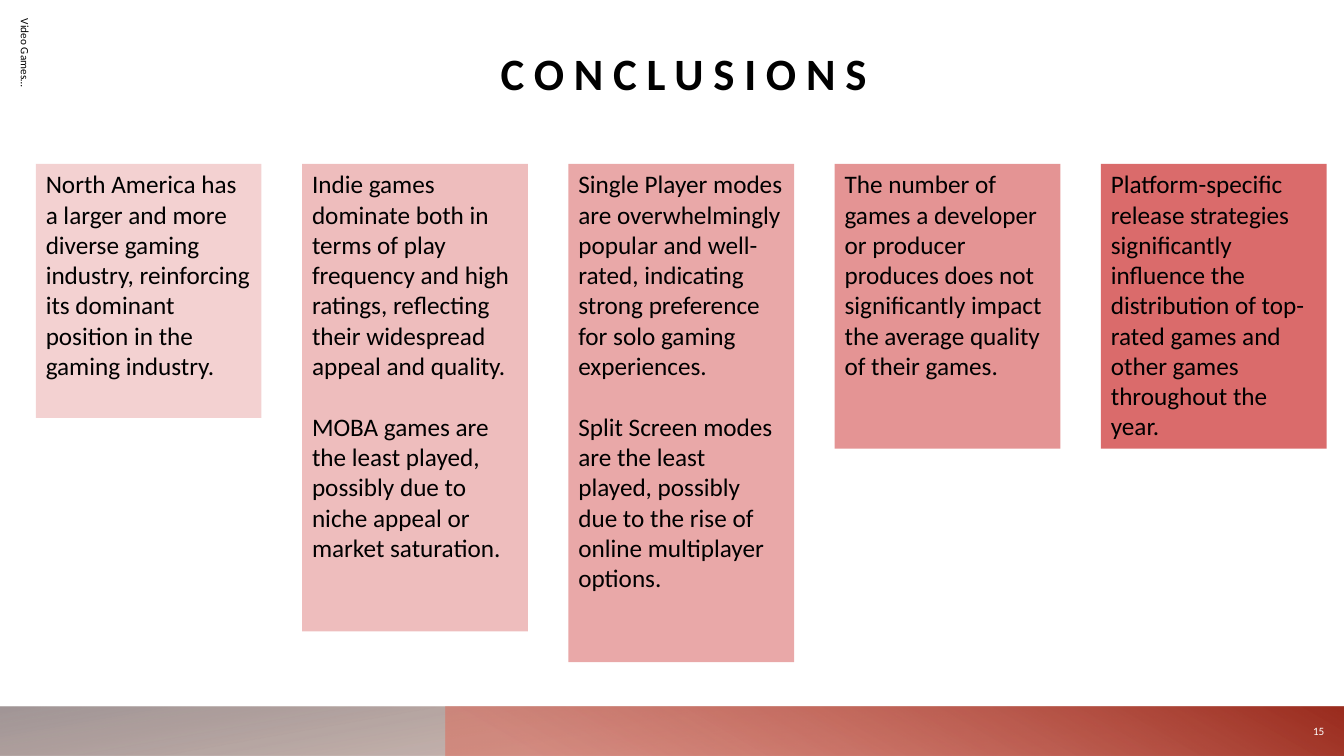
import pptx
import pptx.dml.color
import pptx.enum.shapes
import pptx.enum.text
import pptx.oxml
import pptx.oxml.ns
import pptx.util

Pt = pptx.util.Pt
RGBColor = pptx.dml.color.RGBColor
ALIGN = pptx.enum.text.PP_ALIGN
ANCHOR = pptx.enum.text.MSO_ANCHOR

BLACK = RGBColor(0x00, 0x00, 0x00)
WHITE = RGBColor(0xFF, 0xFF, 0xFF)
CARD_RED = RGBColor(0xC0, 0x00, 0x00)
BROWN = RGBColor(0x95, 0x62, 0x51)
GREY = RGBColor(0x91, 0x84, 0x85)
CORAL = RGBColor(0xDF, 0x6C, 0x5D)
BRICK = RGBColor(0x9B, 0x2D, 0x1F)

SLIDE_WIDTH, SLIDE_HEIGHT = 960, 540
BAR_TOP, BAR_HEIGHT = 504.5, 35.5
CARD_LEFT, CARD_TOP, CARD_WIDTH, CARD_PITCH = 25.6, 117, 161.2, 190.2

# Opacity in percent, height, paragraphs
CARDS = [
    (18, 181.5, ["North America has a larger and more diverse gaming industry, "
                 "reinforcing its dominant position in the gaming industry."]),
    (26, 334, ["Indie games dominate both in terms of play frequency and high ratings, "
               "reflecting their widespread appeal and quality.",
               "MOBA games are the least played, possibly due to niche appeal or "
               "market saturation."]),
    (34, 356, ["Single Player modes are overwhelmingly popular and well-rated, "
               "indicating strong preference for solo gaming experiences.",
               "Split Screen modes are the least played, possibly due to the rise of "
               "online multiplayer options."]),
    (42, 203.5, ["The number of games a developer or producer produces does not "
                 "significantly impact the average quality of their games."]),
    (58, 203.5, ["Platform-specific release strategies significantly influence the "
                 "distribution of top-rated games and other games throughout the year."]),
]


def set_opacity(shape, percents):
    """Give each fill colour of the shape its opacity, in order."""
    colors = shape.element.spPr.iter(pptx.oxml.ns.qn("a:srgbClr"))
    for color, percent in zip(colors, percents):
        alpha = pptx.oxml.parse_xml(f"<a:alpha {pptx.oxml.ns.nsdecls('a')}/>")
        alpha.set("val", str(percent * 1000))
        color.append(alpha)


class SlideBuilder:
    font_name = "Calibri"

    def __init__(self, slide):
        self.slide = slide

    def rectangle(self, left, top, width, height):
        shape = self.slide.shapes.add_shape(
            pptx.enum.shapes.MSO_SHAPE.RECTANGLE, Pt(left), Pt(top), Pt(width), Pt(height))
        shape.shadow.inherit = False
        shape.line.fill.background()
        return shape

    def gradient_bar(self, left, width, angle, stops):
        """Draw a footer bar; each stop is (position, colour, opacity in percent)."""
        shape = self.rectangle(left, BAR_TOP, width, BAR_HEIGHT)
        shape.fill.gradient()
        shape.fill.gradient_angle = angle
        for stop, (position, color, _) in zip(shape.fill.gradient_stops, stops):
            stop.position = position
            stop.color.rgb = color
        set_opacity(shape, [opacity for _, _, opacity in stops])

    def fill_text(self, shape, paragraphs, size, color=BLACK, align=ALIGN.LEFT,
                  anchor=ANCHOR.TOP, gap=0):
        frame = shape.text_frame
        frame.word_wrap = True
        frame.vertical_anchor = anchor
        for index, text in enumerate(paragraphs):
            paragraph = frame.add_paragraph() if index else frame.paragraphs[0]
            paragraph.alignment = align
            if index:
                paragraph.space_before = Pt(gap)
            run = paragraph.add_run()
            run.text = text
            run.font.name = self.font_name
            run.font.size = Pt(size)
            run.font.color.rgb = color
        return frame

    def card(self, left, height, opacity, paragraphs):
        shape = self.rectangle(left, CARD_TOP, CARD_WIDTH, height)
        shape.fill.solid()
        shape.fill.fore_color.rgb = CARD_RED
        set_opacity(shape, [opacity])
        self.fill_text(shape, paragraphs, 18, gap=22)

    def label(self, left, top, width, height, text, size, rotation=0, **style):
        box = self.slide.shapes.add_textbox(Pt(left), Pt(top), Pt(width), Pt(height))
        box.rotation = rotation
        return self.fill_text(box, [text], size, **style)

    def title(self, text):
        frame = self.label(157.5, 23.8, 662, 47.5, text, 32,
                           align=ALIGN.CENTER, anchor=ANCHOR.BOTTOM)
        frame.margin_left = frame.margin_right = 0
        frame.margin_top = frame.margin_bottom = 0
        run = frame.paragraphs[0].runs[0]
        run.font.bold = True
        run.font._rPr.set("spc", "700")


def main():
    presentation = pptx.Presentation()
    presentation.slide_width = Pt(SLIDE_WIDTH)
    presentation.slide_height = Pt(SLIDE_HEIGHT)
    builder = SlideBuilder(presentation.slides.add_slide(presentation.slide_layouts[6]))

    builder.gradient_bar(0, SLIDE_WIDTH, 100, [(0.14, BROWN, 28), (1, GREY, 85)])
    builder.gradient_bar(318, SLIDE_WIDTH - 318, 60, [(0.09, CORAL, 55), (0.99, BRICK, 100)])
    builder.title("CONCLUSIONS")
    builder.label(-144, 150.5, 324, 36, "Video Games…", 8, rotation=90, anchor=ANCHOR.MIDDLE)
    builder.label(918.5, BAR_TOP, 34.6, BAR_HEIGHT, "15", 8,
                  color=WHITE, align=ALIGN.RIGHT, anchor=ANCHOR.MIDDLE)
    for index, (opacity, height, paragraphs) in enumerate(CARDS):
        builder.card(CARD_LEFT + index * CARD_PITCH, height, opacity, paragraphs)

    presentation.save("out.pptx")


if __name__ == "__main__":
    main()
